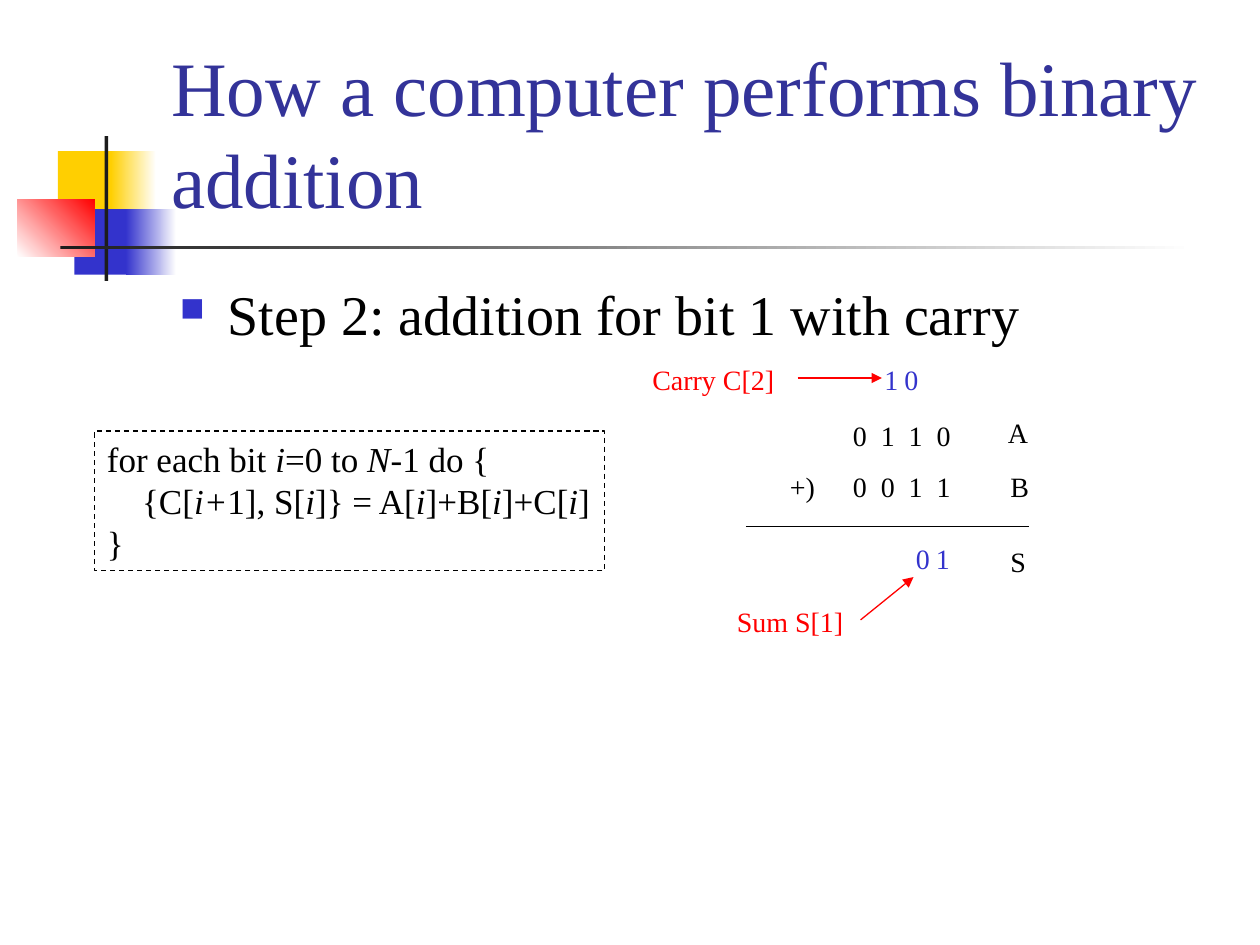
from typing import NamedTuple

from lxml import etree
from pptx import Presentation
from pptx.dml.color import RGBColor
from pptx.enum.dml import MSO_LINE
from pptx.enum.shapes import MSO_CONNECTOR, MSO_SHAPE
from pptx.enum.text import MSO_ANCHOR, MSO_AUTO_SIZE, PP_ALIGN
from pptx.oxml.ns import qn
from pptx.util import Inches, Pt

RECT = MSO_SHAPE.RECTANGLE
LINE = MSO_CONNECTOR.STRAIGHT
DASH = MSO_LINE.DASH
TOP, LOW = MSO_ANCHOR.TOP, MSO_ANCHOR.BOTTOM
LEFT = PP_ALIGN.LEFT
GROW = MSO_AUTO_SIZE.SHAPE_TO_FIT_TEXT
FONT = "Times New Roman"
HEX = {"white": "FFFFFF", "black": "000000", "ink": "1C1C1C", "gold": "FFCF01",
       "blue": "3333CC", "red": "FF0000", "navy": "333399"}


class Block(NamedTuple):
    """A decor block; an end colour makes its fill a gradient."""
    box: tuple
    start: str
    end: str = ""
    angle: float = 0


class Label(NamedTuple):
    """A short text of the sum."""
    left: float
    top: float
    width: float
    text: str
    color: str = "black"
    track: int = 0


class Rule(NamedTuple):
    """A straight line, with or without an arrowhead."""
    ends: tuple
    color: str
    arrow: bool = False


BLOCKS = [
    Block((0.46, 1.2, 0.48, 0.52), "gold"),
    Block((0.88, 1.2, 0.36, 0.52), "gold", "white"),
    Block((0.59, 1.66, 0.46, 0.52), "blue"),
    Block((1, 1.66, 0.4, 0.52), "blue", "white"),
    Block((0.14, 1.58, 0.61, 0.46), "white", "red", 45),
    Block((0.83, 1.08, 0.03, 1.15), "ink"),
    Block((0.48, 1.95, 9, 0.03), "ink", "white"),
]
LABELS = [
    Label(6.67, 3.27, 0.98, "0 1 1 0", track=200),
    Label(6.67, 3.68, 0.98, "0 0 1 1", track=200),
    Label(6.17, 3.68, 0.4, "+)"),
    Label(7.9, 3.25, 0.36, "A"),
    Label(7.92, 3.68, 0.35, "B"),
    Label(7.92, 4.27, 0.32, "S"),
    Label(7.17, 4.25, 0.31, "0", "blue"),
    Label(7.33, 4.25, 0.31, "1", "blue"),
    Label(6.92, 2.83, 0.31, "1", "blue"),
    Label(7.08, 2.83, 0.31, "0", "blue"),
    Label(5.08, 2.83, 1.17, "Carry C[2]", "red"),
    Label(5.75, 4.75, 1.05, "Sum S[1]", "red"),
]
RULES = [
    Rule((5.92, 4.18, 8.17, 4.18), "black"),
    Rule((6.33, 3, 7, 3), "red", True),
    Rule((6.83, 4.92, 7.25, 4.58), "red", True),
]
# Asterisks enclose the italic parts.
CODE = ["for each bit *i*=0 to *N*-1 do {",
        "{C[*i+*1], S[*i*]} = A[*i*]+B[*i*]+C[*i*]",
        "}"]


def rgb(name: str) -> RGBColor:
    """Look up a colour."""
    return RGBColor.from_string(HEX[name])


def style(run, size: float, color: str) -> None:
    """Set the font of a run."""
    run.font.name = FONT
    run.font.size = Pt(size)
    run.font.color.rgb = rgb(color)


def add_block(shapes, block: Block) -> None:
    """Draw a decor block."""
    shape = shapes.add_shape(RECT, *map(Inches, block.box))
    shape.shadow.inherit = False
    shape.line.fill.background()
    if block.end:
        shape.fill.gradient()
        shape.fill.gradient_angle = block.angle
        for stop, name in zip(shape.fill.gradient_stops, (block.start, block.end)):
            stop.color.rgb = rgb(name)
    else:
        shape.fill.solid()
        shape.fill.fore_color.rgb = rgb(block.start)


def add_text(shapes, box: tuple, text: str, size: float, color: str = "black",
             wrap: bool = True, anchor=TOP):
    """Add a one-run text box and return its paragraph."""
    frame = shapes.add_textbox(*map(Inches, box)).text_frame
    frame.word_wrap = wrap
    frame.vertical_anchor = anchor
    if not wrap:
        frame.auto_size = GROW
    frame.text = text
    para = frame.paragraphs[0]
    style(para.runs[0], size, color)
    return para


def add_label(shapes, label: Label) -> None:
    """Add a text of the sum, with its digits spread if tracked."""
    box = (label.left, label.top, label.width, 0.37)
    para = add_text(shapes, box, label.text, 16, label.color, wrap=False)
    if label.track:
        para.runs[0].font._element.set("spc", str(label.track))


def add_bullet(para) -> None:
    """Give a paragraph a hanging square bullet."""
    para.space_before = Pt(6.4)
    props = para._p.get_or_add_pPr()
    props.set("marL", str(Inches(0.38)))
    props.set("indent", str(Inches(-0.38)))
    tint = etree.SubElement(props, qn("a:buClr"))
    etree.SubElement(tint, qn("a:srgbClr"), val=HEX["blue"])
    etree.SubElement(props, qn("a:buSzPct"), val="60000")
    etree.SubElement(props, qn("a:buChar"), char="■")


def add_code(shapes) -> None:
    """Draw the dashed box with the loop."""
    shape = shapes.add_shape(RECT, *map(Inches, (0.75, 3.42, 4.05, 1.11)))
    shape.shadow.inherit = False
    shape.fill.background()
    shape.line.color.rgb = rgb("black")
    shape.line.width = Pt(0.75)
    shape.line.dash_style = DASH
    frame = shape.text_frame
    frame.word_wrap = False
    frame.auto_size = GROW
    frame.vertical_anchor = TOP
    frame.text = "\n".join(CODE)
    for para, line in zip(frame.paragraphs, CODE):
        para.alignment = LEFT
        para.text = ""
        for spot, part in enumerate(line.split("*")):
            run = para.add_run()
            run.text = part
            style(run, 20, "black")
            run.font.italic = spot % 2 == 1
    frame.paragraphs[1]._p.get_or_add_pPr().set("marL", str(Inches(0.28)))


def add_rule(shapes, rule: Rule) -> None:
    """Draw a line or arrow."""
    link = shapes.add_connector(LINE, *map(Inches, rule.ends))
    link.line.color.rgb = rgb(rule.color)
    link.line.width = Pt(0.75)
    if rule.arrow:
        etree.SubElement(link.line._get_or_add_ln(), qn("a:tailEnd"), type="triangle")
    etree.SubElement(link._element.spPr, qn("a:effectLst"))


def main() -> None:
    """Build and save the slide."""
    deck = Presentation()
    deck.slide_width, deck.slide_height = Inches(10), Inches(7.5)
    shapes = deck.slides.add_slide(deck.slide_layouts[6]).shapes
    for block in BLOCKS:
        add_block(shapes, block)
    add_text(shapes, (1.26, 0.23, 8.52, 1.6),
             "How a computer performs binary addition", 44, "navy", anchor=LOW)
    add_bullet(add_text(shapes, (1.33, 2.17, 8.5, 0.83),
                        "Step 2: addition for bit 1 with carry", 32))
    add_code(shapes)
    for label in LABELS:
        add_label(shapes, label)
    for rule in RULES:
        add_rule(shapes, rule)
    deck.save("out.pptx")


main()
